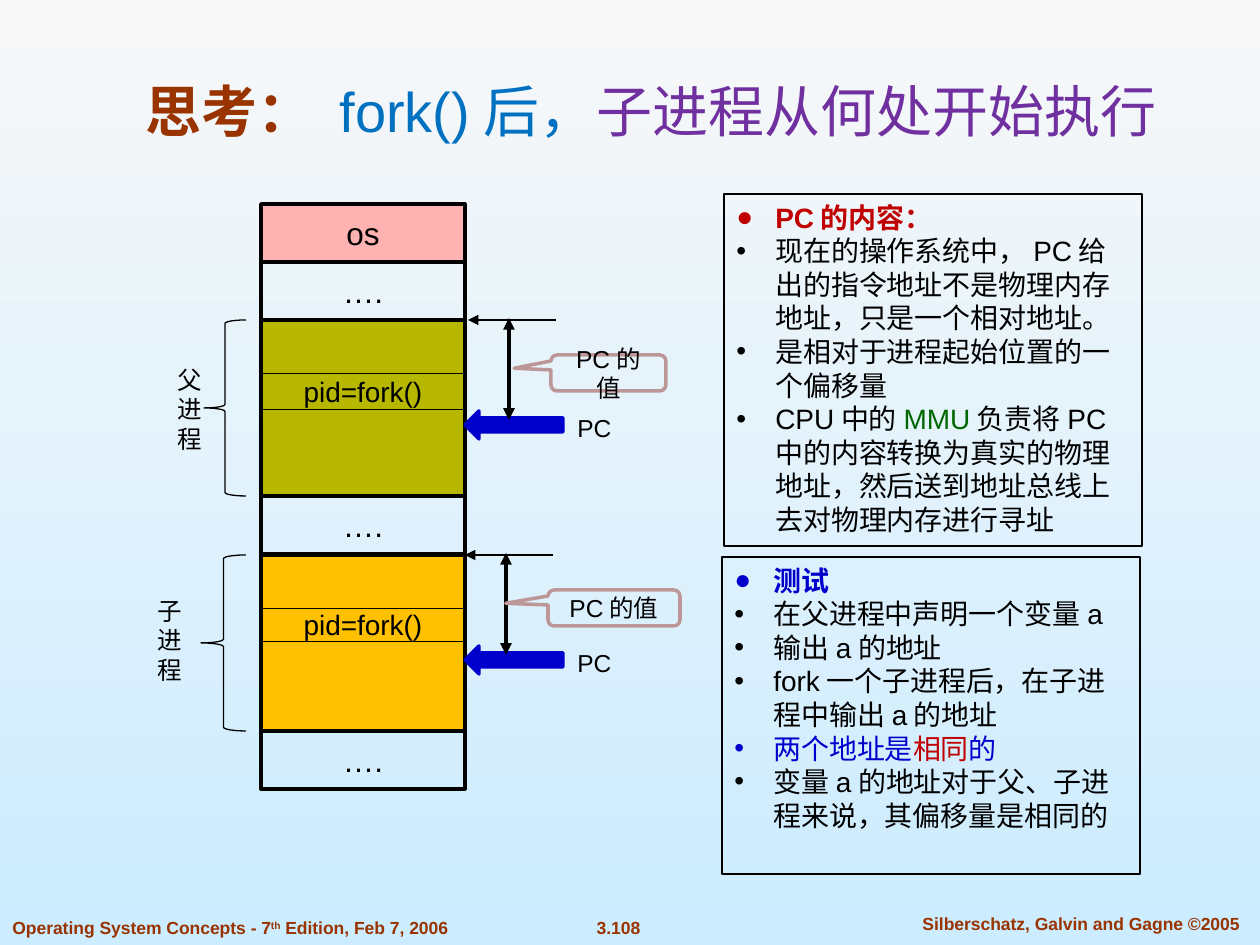
from dataclasses import dataclass

from lxml import etree
from pptx import Presentation
from pptx import util as u
from pptx.dml.color import RGBColor
from pptx.enum import shapes, text
from pptx.oxml.ns import qn

PX_PER_INCH = 126
FONT = "Arial"
COLORS = {
    "black": "000000", "brown": "993300", "sky": "0070C0", "purple": "7030A0",
    "pink": "FFB2B2", "olive": "B7B700", "amber": "FFC000", "blue": "0000CC",
    "red": "C00000", "green": "006600", "rose": "BD9797",
    "bg_top": "F8F8F8", "bg_bottom": "CCECFF",
}
SHAPE = shapes.MSO_SHAPE
ALIGN = text.PP_ALIGN
ANCHOR = text.MSO_ANCHOR
MEMORY_X, MEMORY_W, SLOT_H, PROCESS_H = 261, 204, 58, 176


@dataclass(frozen=True)
class Box:
    x: int
    y: int
    w: int
    h: int


@dataclass(frozen=True)
class Span:
    text: str
    color: str = "black"
    bold: bool = False
    superscript: bool = False


@dataclass(frozen=True)
class Process:
    y: int
    fill: str
    name: str
    name_box: Box
    brace_x: int
    brace_w: int
    fork_h: int
    offset_x: int
    callout_w: int


def px(n: int) -> u.Emu:
    return u.Emu(round(n * 914400 / PX_PER_INCH))


def rgb(name: str) -> RGBColor:
    return RGBColor.from_string(COLORS[name])


def place(box: Box) -> list[u.Emu]:
    return [px(n) for n in (box.x, box.y, box.w, box.h)]


def write(p, spans: list[Span], size: int, align=ALIGN.CENTER) -> None:
    p.alignment = align
    for span in spans:
        r = p.add_run()
        r.text = span.text
        r.font.name, r.font.size, r.font.bold = FONT, u.Pt(size), span.bold
        r.font.color.rgb = rgb(span.color)
        if span.superscript:
            r.font._element.set("baseline", "30000")


def label(s, box: Box, spans: list[Span], size: int, align=ALIGN.CENTER,
          anchor=ANCHOR.MIDDLE, wrap: bool = True) -> None:
    tf = s.shapes.add_textbox(*place(box)).text_frame
    tf.word_wrap, tf.vertical_anchor = wrap, anchor
    write(tf.paragraphs[0], spans, size, align)


def shape(s, kind, box: Box, fill: str = "", line: str = "black",
          width: float = 2, caption: str = "", size: int = 18):
    sp = s.shapes.add_shape(kind, *place(box))
    sp.shadow.inherit = False
    if fill:
        sp.fill.solid()
        sp.fill.fore_color.rgb = rgb(fill)
    else:
        sp.fill.background()
    sp.line.color.rgb, sp.line.width = rgb(line), u.Pt(width)
    if caption:
        write(sp.text_frame.paragraphs[0], [Span(caption)], size)
    return sp


def arrow(s, x1: int, y1: int, x2: int, y2: int, width: float,
          ends: tuple[str, ...]) -> None:
    c = s.shapes.add_connector(shapes.MSO_CONNECTOR.STRAIGHT,
                               *[px(n) for n in (x1, y1, x2, y2)])
    c.line.color.rgb, c.line.width = rgb("black"), u.Pt(width)
    ln = c.line._get_or_add_ln()
    for end in ends:
        etree.SubElement(ln, qn(f"a:{end}"), type="triangle")
    etree.SubElement(c._element.spPr, qn("a:effectLst"))


def panel(s, box: Box, items: list[list[Span]]) -> None:
    """Outlined list whose first item is a heading with a larger bullet."""
    tf = shape(s, SHAPE.RECTANGLE, box, width=0.75).text_frame
    tf.word_wrap, tf.vertical_anchor = True, ANCHOR.TOP
    for i, spans in enumerate(items):
        p = tf.add_paragraph() if i else tf.paragraphs[0]
        pPr = p._p.get_or_add_pPr()
        pPr.set("marL", str(px(39)))
        pPr.set("indent", str(-px(39)))
        etree.SubElement(pPr, qn("a:buFont"), typeface=FONT)
        etree.SubElement(pPr, qn("a:buChar"), char="•" if i else "●")
        write(p, spans, 16, ALIGN.LEFT)


def draw_process(s, proc: Process) -> None:
    y, x = proc.y, proc.offset_x
    shape(s, SHAPE.RECTANGLE, Box(MEMORY_X, y, MEMORY_W, PROCESS_H), proc.fill)
    shape(s, SHAPE.RECTANGLE, Box(MEMORY_X, y + 53, MEMORY_W, proc.fork_h),
          width=0.25, caption="pid=fork()", size=16)
    shape(s, SHAPE.LEFT_BRACE, Box(proc.brace_x, y, proc.brace_w, PROCESS_H), width=0.75)
    label(s, proc.name_box, [Span(proc.name)], 14)
    shape(s, SHAPE.LEFT_ARROW, Box(465, y + 91, 98, 28), "blue", "blue")
    label(s, Box(563, y + 85, 63, 46), [Span("PC")], 14)
    arrow(s, x, y, x + 88, y, 1.5, ("headEnd",))
    arrow(s, x + 41, y - 2, x + 41, y + 100, 2.25, ("headEnd", "tailEnd"))
    callout = shape(s, SHAPE.ROUNDED_RECTANGULAR_CALLOUT,
                    Box(x + 83, y + 35, proc.callout_w, 36),
                    line="rose", caption="PC的值", size=14)
    callout.text_frame.word_wrap = True
    for i, value in enumerate((-0.82, -0.13, 0.17)):
        callout.adjustments[i] = value


PROCESSES = [
    Process(320, "olive", "父进程", Box(155, 363, 69, 92), 204, 42, 36, 468, 115),
    Process(555, "amber", "子进程", Box(135, 594, 69, 92), 201, 45, 33, 465, 132),
]
SLOTS = [(204, "os", "pink"), (262, "….", ""), (496, "….", ""), (731, "….", "")]
TITLE = [Span("思考： ", "brown", True), Span("fork()后，", "sky"),
         Span("子进程从何处开始执行", "purple")]
PC_NOTES = [
    [Span("PC的内容：", "red", True)],
    [Span("现在的操作系统中，PC给出的指令地址不是物理内存地址，只是一个相对地址。")],
    [Span("是相对于进程起始位置的一个偏移量")],
    [Span("CPU中的"), Span("MMU", "green"),
     Span("负责将PC中的内容转换为真实的物理地址，然后送到地址总线上去对物理内存进行寻址")],
]
TEST_NOTES = [
    [Span("测试", "blue", True)],
    [Span("在父进程中声明一个变量a")],
    [Span("输出a的地址")],
    [Span("fork一个子进程后，在子进程中输出a的地址")],
    [Span("两个地址是", "blue"), Span("相同", "red"), Span("的", "blue")],
    [Span("变量a的地址对于父、子进程来说，其偏移量是相同的")],
]
BOOK = [Span("Operating System Concepts - 7", "brown", True),
        Span("th", "brown", True, True),
        Span(" Edition, Feb 7, 2006", "brown", True)]


def main() -> None:
    prs = Presentation()
    prs.slide_width, prs.slide_height = px(1260), px(945)
    s = prs.slides.add_slide(prs.slide_layouts[6])
    bg = s.background.fill
    bg.gradient()
    bg.gradient_angle = 270
    for stop, name in zip(bg.gradient_stops, ("bg_top", "bg_bottom")):
        stop.color.rgb = rgb(name)

    label(s, Box(0, 911, 515, 34), BOOK, 10, ALIGN.LEFT, ANCHOR.TOP)
    label(s, Box(578, 911, 81, 34), [Span("3.108", "brown", True)], 10,
          anchor=ANCHOR.TOP, wrap=False)
    label(s, Box(894, 907, 374, 34),
          [Span("Silberschatz, Galvin and Gagne ©2005", "brown", True)], 10,
          anchor=ANCHOR.TOP)
    label(s, Box(95, 66, 1112, 84), TITLE, 32, anchor=ANCHOR.BOTTOM)
    for y, caption, fill in SLOTS:
        shape(s, SHAPE.RECTANGLE, Box(MEMORY_X, y, MEMORY_W, SLOT_H), fill, caption=caption)
    for proc in PROCESSES:
        draw_process(s, proc)
    panel(s, Box(724, 194, 418, 352), PC_NOTES)
    panel(s, Box(722, 557, 418, 317), TEST_NOTES)
    prs.save("out.pptx")


if __name__ == "__main__":
    main()
